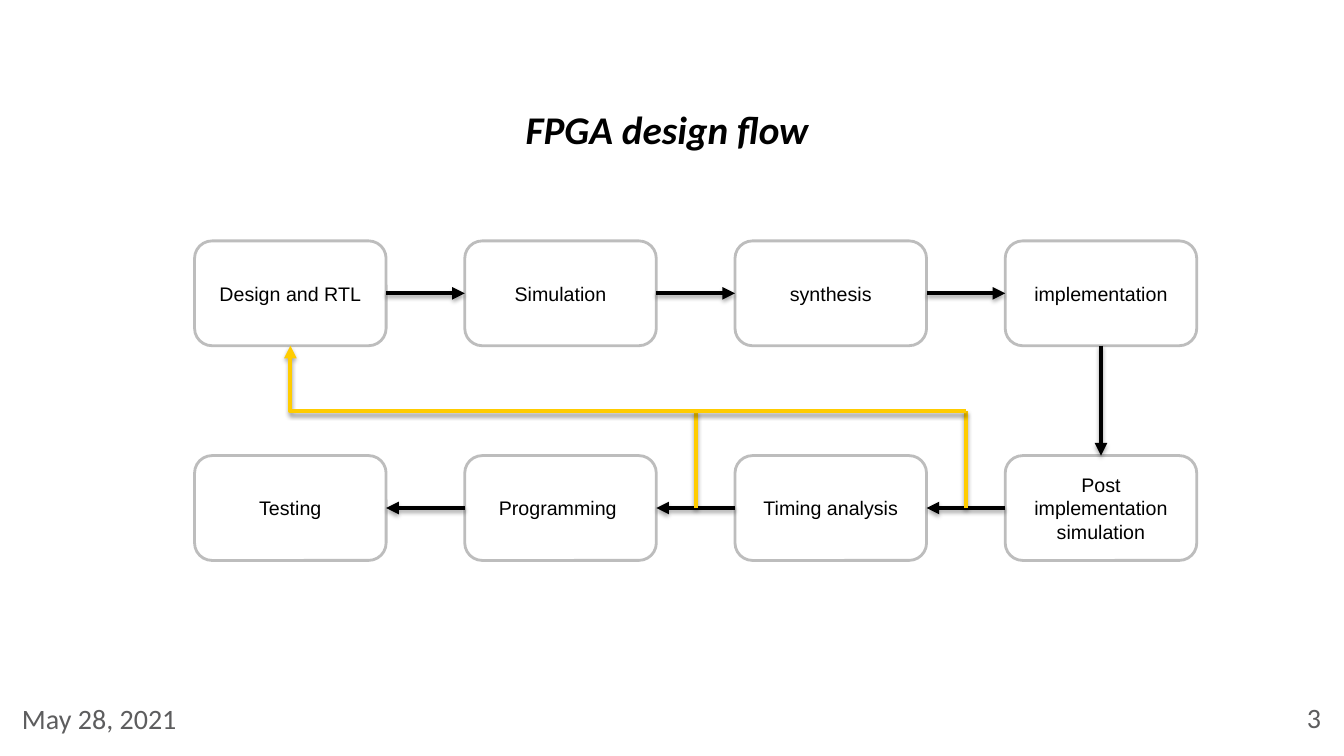
from itertools import pairwise

from lxml.etree import SubElement
from pptx import Presentation
from pptx.dml.color import RGBColor
from pptx.enum.shapes import MSO_CONNECTOR, MSO_SHAPE
from pptx.enum.text import MSO_ANCHOR, PP_ALIGN
from pptx.oxml import parse_xml
from pptx.oxml.ns import nsdecls, qn
from pptx.util import Inches, Pt

# Content: steps in flow order, with their (column, row) in the grid
TITLE = "FPGA design flow "
DATE = "May 28, 2021"
PAGE_NUMBER = "3"
STEPS = [
    ("Design and RTL", 0, 0),
    ("Simulation", 1, 0),
    ("synthesis", 2, 0),
    ("implementation", 3, 0),
    ("Post implementation simulation", 3, 1),
    ("Timing analysis", 2, 1),
    ("Programming ", 1, 1),
    ("Testing", 0, 1),
]

THEME = {
    "heading_font": "Calibri", "box_font": "Arial",
    "title_size": 28, "footer_size": 20, "box_size": 14,
    "text": "000000", "footer": "5D5D5E", "box_fill": "FFFFFF",
    "box_line": "BDBDBD", "flow": "000000", "feedback": "FFCC00",
    "box_line_width": 2, "arrow_width": 3,
}

# Grid, in inches
LEFT, TOP = 1.93, 2.39
BOX_WIDTH, BOX_HEIGHT = 1.9, 1.04
COLUMN_STEP, ROW_STEP = 2.68, 2.13
FEEDBACK_Y = 4.08

# Connection sites of a rounded rectangle
SITE_TOP, SITE_LEFT, SITE_BOTTOM, SITE_RIGHT = range(4)

SHADOW = f"""<a:effectLst {nsdecls('a')}>
  <a:outerShdw blurRad="40000" dist="23000" dir="5400000" rotWithShape="0">
    <a:srgbClr val="000000"><a:alpha val="35000"/></a:srgbClr>
  </a:outerShdw>
</a:effectLst>"""


def color(name):
    return RGBColor.from_string(THEME[name])


def write(shape, text, font, size, color_name, align, anchor=MSO_ANCHOR.MIDDLE):
    frame = shape.text_frame
    frame.word_wrap = True
    frame.vertical_anchor = anchor
    frame.text = text
    paragraph = frame.paragraphs[0]
    paragraph.alignment = align
    run_font = paragraph.runs[0].font
    run_font.name = THEME[font]
    run_font.size = Pt(THEME[size])
    run_font.color.rgb = color(color_name)
    return run_font


def add_text(slide, bounds, *text_style):
    text_box = slide.shapes.add_textbox(*map(Inches, bounds))
    return write(text_box, *text_style)


def add_step(slide, text, column, row):
    box = slide.shapes.add_shape(
        MSO_SHAPE.ROUNDED_RECTANGLE,
        Inches(LEFT + column * COLUMN_STEP), Inches(TOP + row * ROW_STEP),
        Inches(BOX_WIDTH), Inches(BOX_HEIGHT))
    box.shadow.inherit = False
    box.fill.solid()
    box.fill.fore_color.rgb = color("box_fill")
    box.line.color.rgb = color("box_line")
    box.line.width = Pt(THEME["box_line_width"])
    write(box, text, "box_font", "box_size", "text", PP_ALIGN.CENTER)
    return box


def add_line(slide, start, end, color_name, arrow=False, kind=MSO_CONNECTOR.STRAIGHT):
    connector = slide.shapes.add_connector(kind, *map(Inches, (*start, *end)))
    connector.line.color.rgb = color(color_name)
    connector.line.width = Pt(THEME["arrow_width"])
    properties = connector._element.spPr
    if arrow:
        SubElement(properties.find(qn("a:ln")), qn("a:tailEnd"), type="triangle")
    properties.append(parse_xml(SHADOW))
    return connector


def flow_sites(column, row, next_column, next_row):
    if next_row > row:
        return SITE_BOTTOM, SITE_TOP
    if next_column > column:
        return SITE_RIGHT, SITE_LEFT
    return SITE_LEFT, SITE_RIGHT


def main():
    presentation = Presentation()
    presentation.slide_width = Inches(13.33)
    presentation.slide_height = Inches(7.5)
    slide = presentation.slides.add_slide(presentation.slide_layouts[6])

    # Footer and title
    add_text(slide, (10.2, 6.82, 3, 0.59), PAGE_NUMBER,
             "heading_font", "footer_size", "footer", PP_ALIGN.RIGHT)
    add_text(slide, (0.12, 6.91, 1.76, 0.44), DATE,
             "heading_font", "footer_size", "footer", PP_ALIGN.LEFT, MSO_ANCHOR.TOP)
    title_font = add_text(slide, (1.03, 0.85, 11.26, 0.85), TITLE,
                          "heading_font", "title_size", "text", PP_ALIGN.CENTER)
    title_font.bold = title_font.italic = True

    # Steps, joined in flow order
    boxes = [add_step(slide, *step) for step in STEPS]
    for (box, step), (next_box, next_step) in pairwise(zip(boxes, STEPS)):
        begin_site, end_site = flow_sites(*step[1:], *next_step[1:])
        arrow = add_line(slide, (0, 0), (1, 1), "flow", arrow=True)
        arrow.begin_connect(box, begin_site)
        arrow.end_connect(next_box, end_site)

    # Feedback branches rise from the gaps before columns 2 and 3
    lower_middle = TOP + ROW_STEP + BOX_HEIGHT / 2
    first_x, last_x = [
        LEFT + column * COLUMN_STEP - (COLUMN_STEP - BOX_WIDTH) / 2
        for column in (2, 3)]
    for x in (last_x, first_x):
        add_line(slide, (x, lower_middle), (x, FEEDBACK_Y), "feedback")

    # Feedback return: left along the gap, then up to the first step
    return_arrow = add_line(
        slide, (LEFT + BOX_WIDTH / 2, TOP + BOX_HEIGHT), (last_x, FEEDBACK_Y),
        "feedback", arrow=True, kind=MSO_CONNECTOR.ELBOW)
    properties = return_arrow._element.spPr
    properties.find(qn("a:prstGeom")).set("prst", "bentConnector2")
    properties.find(qn("a:xfrm")).set("rot", "10800000")

    presentation.save("out.pptx")


if __name__ == "__main__":
    main()
